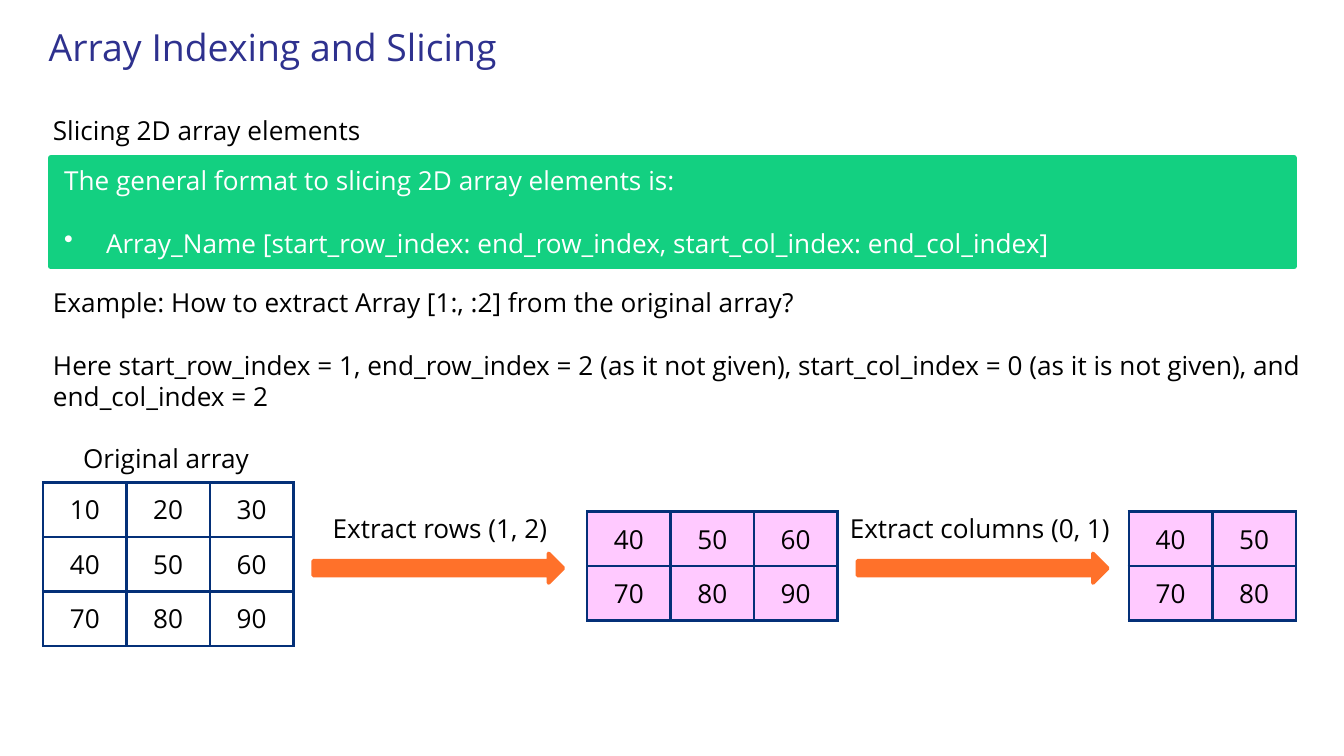
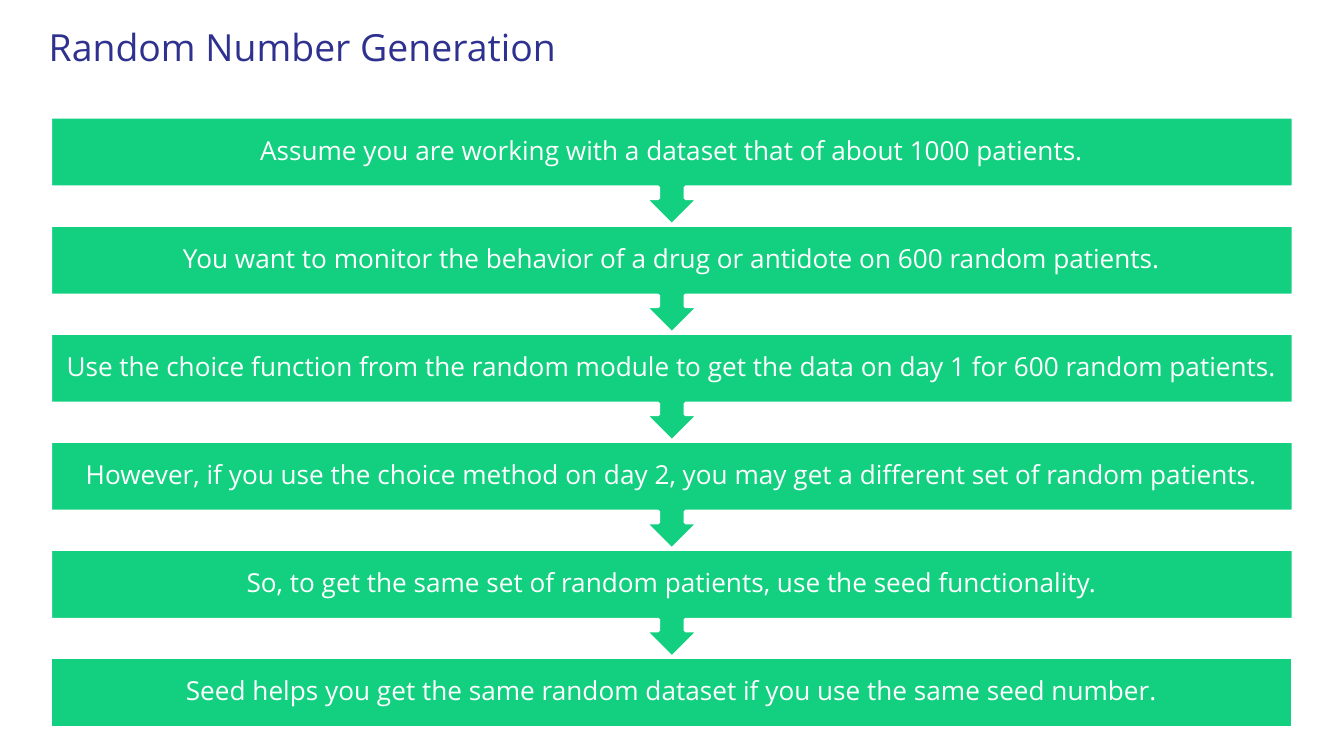
from lxml import etree
from pptx import Presentation
from pptx.dml.color import RGBColor
from pptx.enum import shapes, text
from pptx.oxml import ns
from pptx.util import Pt

INDIGO = RGBColor(0x2E, 0x31, 0x8E)
GREEN = RGBColor(0x13, 0xD0, 0x81)
ORANGE = RGBColor(0xFF, 0x71, 0x2A)
PINK = RGBColor(0xFF, 0xC9, 0xFF)
NAVY = RGBColor(0x04, 0x30, 0x78)
BLACK = RGBColor(0, 0, 0)
WHITE = RGBColor(0xFF, 0xFF, 0xFF)

FONT = "Open Sans"
BODY_SIZE, TITLE_SIZE = 14, 20
PARAGRAPH_GAP = 16.8
CELL_WIDTH, CELL_HEIGHT = 44.7, 29.2
LEFT, CENTER = text.PP_ALIGN.LEFT, text.PP_ALIGN.CENTER
TOP, MIDDLE = text.MSO_ANCHOR.TOP, text.MSO_ANCHOR.MIDDLE


class Deck:
    """Shared style and the slide being filled."""

    def __init__(self):
        self.prs = Presentation()
        self.prs.slide_width, self.prs.slide_height = Pt(720), Pt(405)
        self.slide = None

    def new_slide(self, title):
        self.slide = self.prs.slides.add_slide(self.prs.slide_layouts[5])
        heading = self.slide.shapes.title
        heading.left, heading.top = Pt(18.9), Pt(5.9)
        heading.width, heading.height = Pt(447), Pt(36.7)
        heading.text_frame.auto_size = text.MSO_AUTO_SIZE.NONE
        self.set_text(heading, [title], INDIGO, size=TITLE_SIZE,
                      inset=(7.2, 7.2))

    def set_text(self, shape, lines, color, size=BODY_SIZE, align=LEFT,
                 anchor=TOP, inset=(7.2, 3.6), spacing=None):
        frame = shape.text_frame
        frame.word_wrap = True
        frame.vertical_anchor = anchor
        frame.margin_left = frame.margin_right = Pt(inset[0])
        frame.margin_top = frame.margin_bottom = Pt(inset[1])
        frame.text = "\n".join(lines)
        for i, paragraph in enumerate(frame.paragraphs):
            paragraph.alignment = align
            if spacing:
                paragraph.line_spacing = spacing
            if i:
                paragraph.space_before = Pt(PARAGRAPH_GAP)
            self.style_font(paragraph, color, size)

    def style_font(self, paragraph, color, size=BODY_SIZE):
        font = paragraph.font
        font.name, font.size, font.color.rgb = FONT, Pt(size), color

    def label(self, box, *lines, color=BLACK, **options):
        area = self.slide.shapes.add_textbox(*map(Pt, box))
        self.set_text(area, lines, color, **options)

    def shape(self, kind, box, fill, line, line_width, rotation=0):
        drawn = self.slide.shapes.add_shape(kind, *map(Pt, box))
        drawn.shadow.inherit = False
        drawn.fill.solid()
        drawn.fill.fore_color.rgb = fill
        drawn.line.color.rgb = line
        drawn.line.width = Pt(line_width)
        drawn.rotation = rotation
        return drawn

    def bullet(self, paragraph, indent):
        props = paragraph._p.get_or_add_pPr()
        props.set("marL", str(Pt(indent)))
        props.set("indent", str(-Pt(indent)))
        mark = etree.Element(ns.qn("a:buChar"), char="•")
        # The bullet precedes the default run properties
        props.insert(list(props).index(props.find(ns.qn("a:defRPr"))), mark)

    def array(self, left, top, rows, fill=None):
        n_rows, n_cols = len(rows), len(rows[0])
        grid = self.slide.shapes.add_table(
            n_rows, n_cols, Pt(left), Pt(top),
            Pt(CELL_WIDTH * n_cols), Pt(CELL_HEIGHT * n_rows)).table
        grid.first_row = grid.horz_banding = False
        for column in grid.columns:
            column.width = Pt(CELL_WIDTH)
        for row, values in zip(grid.rows, rows):
            row.height = Pt(CELL_HEIGHT)
            for cell, value in zip(row.cells, values):
                self.border(cell)
                if fill:
                    cell.fill.solid()
                    cell.fill.fore_color.rgb = fill
                else:
                    cell.fill.background()
                cell.text = str(value)
                cell.vertical_anchor = MIDDLE
                paragraph = cell.text_frame.paragraphs[0]
                paragraph.alignment = CENTER
                self.style_font(paragraph, BLACK)

    def border(self, cell):
        props = cell._tc.get_or_add_tcPr()
        for side in ("lnL", "lnR", "lnT", "lnB"):
            line = etree.SubElement(props, ns.qn(f"a:{side}"), w=str(Pt(1.5)))
            paint = etree.SubElement(line, ns.qn("a:solidFill"))
            etree.SubElement(paint, ns.qn("a:srgbClr"), val=str(NAVY))


def slicing_slide(deck):
    deck.new_slide("Array Indexing and Slicing")
    deck.label((21.3, 57.5, 310, 24.2), "Slicing 2D array elements")

    # General format
    general_format = deck.shape(shapes.MSO_SHAPE.RECTANGLE,
                                (27.2, 84.5, 666, 58.3), GREEN, GREEN, 3)
    deck.set_text(general_format, [
        "The general format to slicing 2D array elements is:",
        "Array_Name [start_row_index: end_row_index, "
        "start_col_index: end_col_index]"], WHITE)
    deck.bullet(general_format.text_frame.paragraphs[1], 22.5)

    # Worked example
    deck.label((21.3, 150, 692.6, 75),
               "Example: How to extract Array [1:, :2] from the original array?",
               "Here start_row_index = 1, end_row_index = 2 (as it not given), "
               "start_col_index = 0 (as it is not given), and end_col_index = 2")

    # Arrays at each step
    original = [[10, 20, 30], [40, 50, 60], [70, 80, 90]]
    last_rows = original[1:]
    deck.array(23.1, 258.5, original)
    deck.array(314.6, 274.1, last_rows, PINK)
    deck.array(604.8, 274.1, [row[:2] for row in last_rows], PINK)

    # Step labels and arrows
    for caption, left, top, width in (
            ("Original array", 21, 233.3, 136),
            ("Extract rows (1, 2)", 154.4, 270.8, 162.7),
            ("Extract columns (0, 1)", 420, 270.8, 210)):
        deck.label((left, top, width, 24.2), caption, align=CENTER)
    for left in (167.8, 459.4):
        deck.shape(shapes.MSO_SHAPE.RIGHT_ARROW, (left, 296.5, 134, 15.8),
                   ORANGE, ORANGE, 2)


def random_slide(deck):
    deck.new_slide("Random Number Generation")
    steps = [
        "Assume you are working with a dataset that of about 1000 patients.",
        "You want to monitor the behavior of a drug or antidote on 600 random "
        "patients.",
        "Use the choice function from the random module to get the data on "
        "day 1 for 600 random patients.",
        "However, if you use the choice method on day 2, you may get a "
        "different set of random patients.",
        "So, to get the same set of random patients, use the seed "
        "functionality.",
        "Seed helps you get the same random dataset if you use the same seed "
        "number.",
    ]
    left, first_top, width, pitch = 26.9, 62.6, 666, 57.9
    band_height, callout_height = 37.8, 58.1

    # Bottom step first, so each arrow lies over the band below it
    for i, step in reversed(list(enumerate(steps))):
        top = first_top + i * pitch
        if i == len(steps) - 1:
            deck.shape(shapes.MSO_SHAPE.RECTANGLE,
                       (left, top, width, band_height), GREEN, WHITE, 2)
        else:
            deck.shape(shapes.MSO_SHAPE.UP_ARROW_CALLOUT,
                       (left, top, width, callout_height), GREEN, WHITE, 2,
                       rotation=180)
        deck.label((left, top, width, band_height), step, color=WHITE,
                   align=CENTER, anchor=MIDDLE, inset=(7.8, 7.8), spacing=0.9)


def main():
    deck = Deck()
    slicing_slide(deck)
    random_slide(deck)
    deck.prs.save("out.pptx")


if __name__ == "__main__":
    main()
